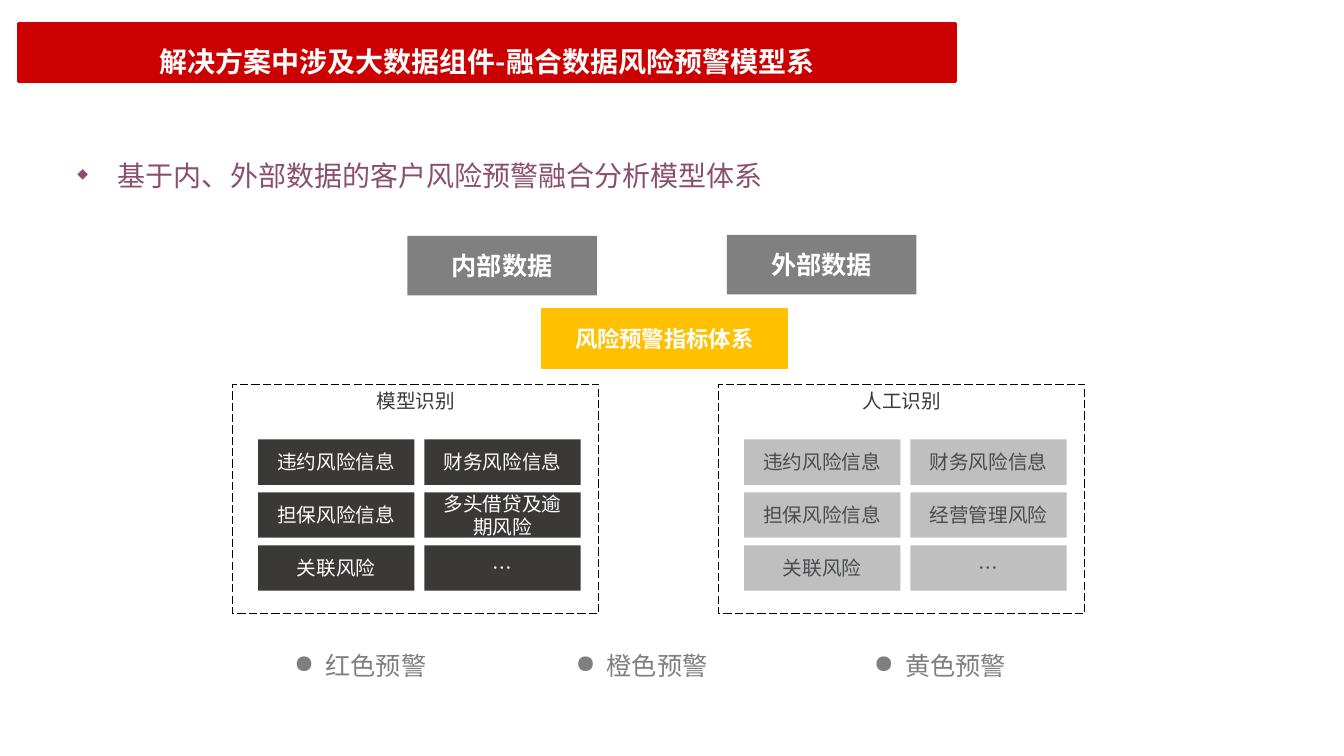
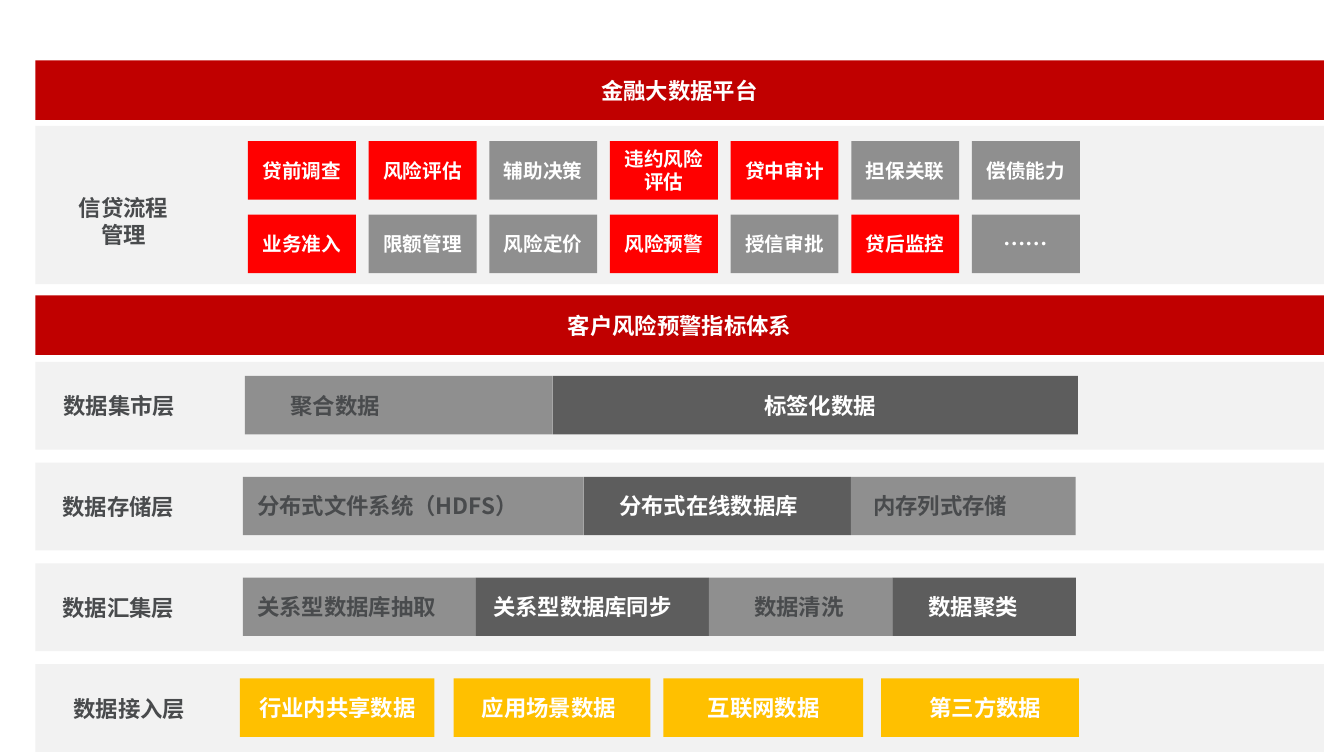
from typing import NamedTuple

from lxml import etree
from pptx import Presentation
from pptx.dml.color import RGBColor
from pptx.enum.dml import MSO_LINE
from pptx.enum.shapes import MSO_SHAPE
from pptx.enum.text import MSO_ANCHOR, PP_ALIGN
from pptx.oxml.ns import qn
from pptx.util import Inches, Pt

FONT = "Noto Sans CJK SC"
WHITE = RGBColor(0xFF, 0xFF, 0xFF)
BLACK = RGBColor(0x00, 0x00, 0x00)
INK = RGBColor(0x49, 0x4B, 0x4D)
COAL = RGBColor(0x3B, 0x38, 0x38)
SLATE = RGBColor(0x5D, 0x5D, 0x5D)
STONE = RGBColor(0x80, 0x80, 0x80)
ASH = RGBColor(0x7F, 0x7F, 0x7F)
GRAY = RGBColor(0x8F, 0x8F, 0x8F)
SILVER = RGBColor(0xBF, 0xBF, 0xBF)
PALE = RGBColor(0xF2, 0xF2, 0xF2)
PLUM = RGBColor(0x8B, 0x4F, 0x6B)
GOLD = RGBColor(0xFF, 0xC0, 0x00)
RED = RGBColor(0xFF, 0x00, 0x00)
CRIMSON = RGBColor(0xCC, 0x00, 0x00)
WINE = RGBColor(0xC0, 0x00, 0x00)

RECT = MSO_SHAPE.RECTANGLE
CENTER, LEFT = PP_ALIGN.CENTER, PP_ALIGN.LEFT
TOP, MIDDLE = MSO_ANCHOR.TOP, MSO_ANCHOR.MIDDLE
DASH = MSO_LINE.LONG_DASH


class Area(NamedTuple):
    left: float
    top: float
    width: float
    height: float


class Style(NamedTuple):
    size: int
    color: RGBColor
    bold: bool = False


class Group(NamedTuple):
    title: str
    left: float
    fill: RGBColor
    color: RGBColor
    cells: list[str]


class Block(NamedTuple):
    text: str
    fill: RGBColor
    left: float
    right: float
    pad: float


class Layer(NamedTuple):
    name: str
    pad: float
    blocks: list[Block]


HEAD = Style(20, WHITE, True)
BAND = Style(16, WHITE, True)
LABEL = Style(16, INK, True)
TILE = Style(14, WHITE, True)

GROUPS = [
    Group("模型识别", 2.31, COAL, WHITE,
          ["违约风险信息", "财务风险信息", "担保风险信息",
           "多头借贷及逾期风险", "关联风险", "…"]),
    Group("人工识别", 7.13, SILVER, INK,
          ["违约风险信息", "财务风险信息", "担保风险信息",
           "经营管理风险", "关联风险", "…"]),
]
ALERTS = [("红色预警", 2.82), ("橙色预警", 5.61), ("黄色预警", 8.57)]

STEPS = [
    ["贷前调查", "风险评估", "辅助决策", "违约风险评估",
     "贷中审计", "担保关联", "偿债能力"],
    ["业务准入", "限额管理", "风险定价", "风险预警",
     "授信审批", "贷后监控", "……"],
]
ACTIVE = {"贷前调查", "风险评估", "违约风险评估", "贷中审计",
          "业务准入", "风险预警", "贷后监控"}

LAYERS = [
    Layer("数据集市层", 0.28, [
        Block("聚合数据", GRAY, 2.43, 5.48, 0.45),
        Block("标签化数据", SLATE, 5.48, 10.69, 2.1)]),
    Layer("数据存储层", 0.27, [
        Block("分布式文件系统（HDFS）", GRAY, 2.41, 5.79, 0.14),
        Block("分布式在线数据库", SLATE, 5.79, 8.44, 0.35),
        Block("内存列式存储", GRAY, 8.44, 10.67, 0.22)]),
    Layer("数据汇集层", 0.27, [
        Block("关系型数据库抽取", GRAY, 2.41, 4.72, 0.14),
        Block("关系型数据库同步", SLATE, 4.72, 7.03, 0.17),
        Block("数据清洗", GRAY, 7.03, 8.85, 0.45),
        Block("数据聚类", SLATE, 8.85, 10.67, 0.36)]),
    Layer("数据接入层", 0.38, [
        Block("行业内共享数据", GOLD, 2.38, 4.31, 0.19),
        Block("应用场景数据", GOLD, 4.5, 6.45, 0.28),
        Block("互联网数据", GOLD, 6.58, 8.56, 0.44),
        Block("第三方数据", GOLD, 8.74, 10.7, 0.48)]),
]


def write(para, text: str, style: Style, align=CENTER):
    para.alignment = align
    run = para.add_run()
    run.text = text
    font = run.font
    font.size = Pt(style.size)
    font.bold = style.bold
    font.color.rgb = style.color
    font.name = FONT
    east = etree.SubElement(font._element, qn("a:ea"))
    east.set("typeface", FONT)


def place(area: Area) -> list:
    return [Inches(side) for side in area]


def add_box(slide, area: Area, fill=None, text="", style=TILE, pad=None,
            line=None, weight=1.0, anchor=MIDDLE):
    """Draw a rectangle; a pad sets its text flush left at that inset."""
    box = slide.shapes.add_shape(RECT, *place(area))
    box.shadow.inherit = False
    if fill is None:
        box.fill.background()
    else:
        box.fill.solid()
        box.fill.fore_color.rgb = fill
    if line is None:
        box.line.fill.background()
    else:
        box.line.color.rgb = line
        box.line.width = Pt(weight)
    frame = box.text_frame
    frame.word_wrap = True
    frame.vertical_anchor = anchor
    if pad is not None:
        frame.margin_left = Inches(pad)
        frame.margin_right = 0
    if text:
        write(frame.paragraphs[0], text, style, CENTER if pad is None else LEFT)
    return box


def add_note(slide, area: Area):
    frame = slide.shapes.add_textbox(*place(area)).text_frame
    frame.word_wrap = True
    return frame


def add_bullet(para, mark: str, indent: float, color=None, scale=100):
    props = para._p.get_or_add_pPr()
    props.set("marL", str(Inches(indent)))
    props.set("indent", str(-Inches(indent)))
    if color is not None:
        tint = etree.SubElement(props, qn("a:buClr"))
        etree.SubElement(tint, qn("a:srgbClr")).set("val", str(color))
    etree.SubElement(props, qn("a:buSzPct")).set("val", str(scale * 1000))
    etree.SubElement(props, qn("a:buChar")).set("char", mark)


def draw_group(slide, group: Group):
    frame = Area(group.left, 3.81, 3.63, 2.28)
    box = add_box(slide, frame, None, group.title, Style(14, COAL),
                  line=BLACK, weight=0.75, anchor=TOP)
    box.line.dash_style = DASH
    down = (5.41 - 4.36) / 2
    for spot, text in enumerate(group.cells):
        row, col = divmod(spot, 2)
        area = Area(group.left + 0.25 + col * 1.65, 4.36 + row * down, 1.55, 0.45)
        add_box(slide, area, group.fill, text, Style(14, group.color))


def draw_model(slide):
    para = add_note(slide, Area(0.67, 1.36, 12.11, 1.58)).paragraphs[0]
    add_bullet(para, "◆", 0.4, PLUM, 50)
    para.line_spacing = 1.5
    write(para, "基于内、外部数据的客户风险预警融合分析模型体系", Style(20, PLUM), LEFT)

    title = add_box(slide, Area(0.18, 0.23, 9.3, 0.58), CRIMSON,
                    "解决方案中涉及大数据组件-融合数据风险预警模型系", HEAD,
                    line=CRIMSON, weight=2)
    title.text_frame.paragraphs[0].line_spacing = 1.5

    for group in GROUPS:
        draw_group(slide, group)
    add_box(slide, Area(5.37, 3.06, 2.44, 0.59), GOLD, "风险预警指标体系", BAND,
            line=GOLD)
    for text, left, top in [("内部数据", 4.04, 2.34), ("外部数据", 7.21, 2.33)]:
        add_box(slide, Area(left, top, 1.88, 0.59), STONE, text,
                Style(18, WHITE, True))
    for text, left in ALERTS:
        para = add_note(slide, Area(left, 6.4, 1.8, 0.4)).paragraphs[0]
        add_bullet(para, "●", 0.31)
        write(para, text, Style(18, ASH), LEFT)


def draw_steps(slide):
    add_box(slide, Area(0.35, 1.25, 12.78, 1.57), PALE)
    frame = add_note(slide, Area(0.27, 1.88, 1.91, 0.64))
    write(frame.paragraphs[0], "信贷流程", LABEL)
    write(frame.add_paragraph(), "管理", LABEL)
    pitch = (9.64 - 2.46) / 6
    for row, names in enumerate(STEPS):
        for col, name in enumerate(names):
            area = Area(2.46 + col * pitch, 1.4 + row * 0.73, 1.07, 0.58)
            fill = RED if name in ACTIVE else GRAY
            add_box(slide, area, fill, name, BAND if name == "……" else TILE)


def draw_layer(slide, layer: Layer, top: float):
    add_box(slide, Area(0.35, top, 12.78, 0.87), PALE, layer.name, LABEL, layer.pad)
    for block in layer.blocks:
        area = Area(block.left, top + 0.14, block.right - block.left, 0.58)
        style = LABEL if block.fill == GRAY else BAND
        add_box(slide, area, block.fill, block.text, style, block.pad)


def draw_stack(slide):
    for text, top in [("金融大数据平台", 0.6), ("客户风险预警指标体系", 2.93)]:
        add_box(slide, Area(0.35, top, 12.78, 0.59), WINE, text, BAND)
    draw_steps(slide)
    for spot, layer in enumerate(LAYERS):
        draw_layer(slide, layer, 3.59 + spot)


def main():
    deck = Presentation()
    deck.slide_width = Inches(13.33)
    deck.slide_height = Inches(7.5)
    blank = deck.slide_layouts[6]
    for draw in (draw_model, draw_stack):
        draw(deck.slides.add_slide(blank))
    deck.save("out.pptx")


if __name__ == "__main__":
    main()
